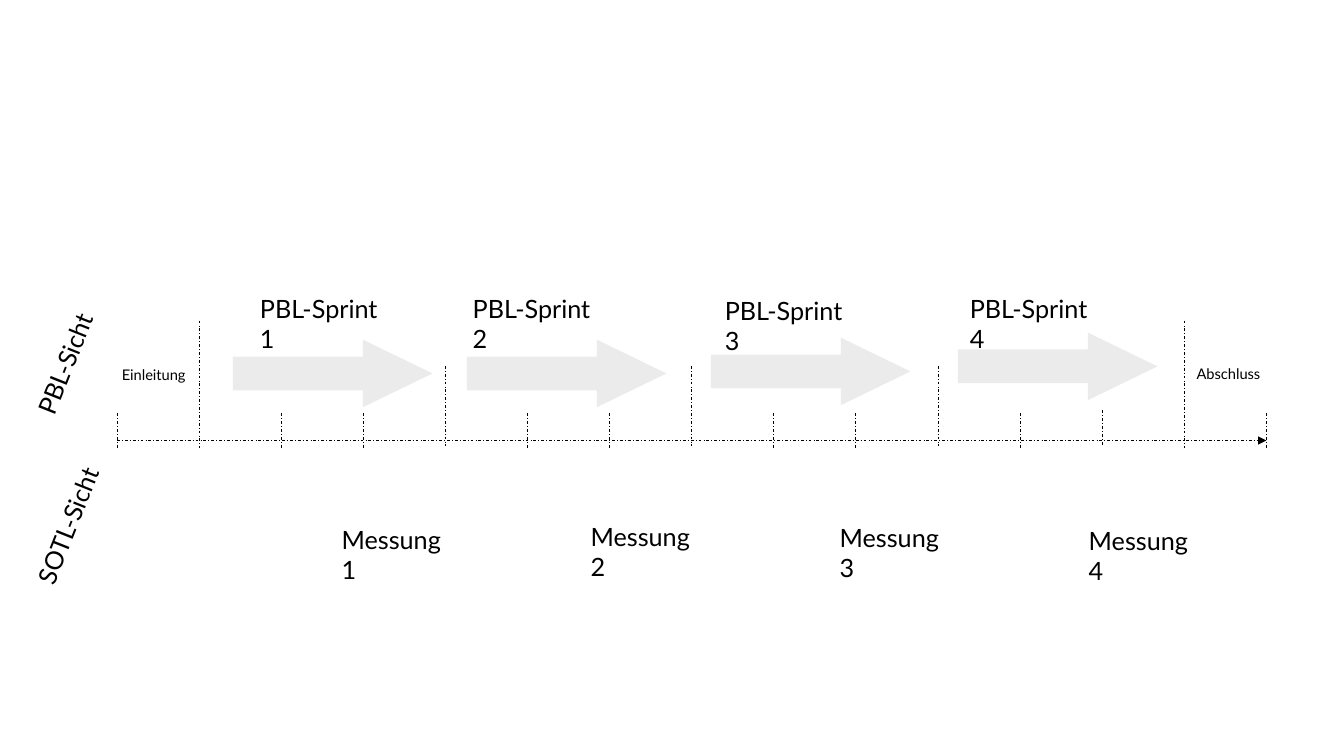
"""Draw a timeline of four PBL sprints and their measurements."""
from dataclasses import dataclass

from lxml import etree
from pptx import Presentation
from pptx import util as u
from pptx.dml import color
from pptx.enum import dml, shapes, text
from pptx.oxml import ns

HUES = {"ink": "000000", "arrow": "BFBFBF"}
FONT = "Lato"
AXIS = 4.37
START, END = 1.16, 12.56
TICKS = 15
STEP = (END - START) / (TICKS - 1)


@dataclass
class Sprint:
    """Places of one sprint's arrow, name and measurement."""
    arrow: tuple[float, float]
    name: tuple[float, float]
    gauge: tuple[float, float]


@dataclass
class Label:
    """A label on one line."""
    words: str
    box: tuple[float, float, float, float]
    size: float
    turn: float = 0


SPRINTS = [
    Sprint((2.31, 3.37), (2.48, 2.86), (3.29, 5.15)),
    Sprint((4.63, 3.37), (4.59, 2.86), (5.76, 5.12)),
    Sprint((7.05, 3.35), (7.09, 2.88), (8.23, 5.13)),
    Sprint((9.5, 3.3), (9.52, 2.86), (10.7, 5.16)),
]
LABELS = [
    Label("PBL-Sicht", (0.01, 3.4, 1.27, 0.4), 18, 291.6),
    Label("SOTL-Sicht", (-0.04, 5.01, 1.42, 0.4), 18, 291.6),
    Label("Einleitung", (1.11, 3.58, 0.86, 0.29), 10.5),
    Label("Abschluss", (11.77, 3.57, 0.9, 0.29), 10.5),
]
SPANS = {1: (3.18, 4.44), 13: (3.18, 4.44), 12: (4.07, 4.42),
         **dict.fromkeys((4, 7, 10), (3.63, 4.42))}


def tint(hue: str) -> color.RGBColor:
    """Return a named colour."""
    return color.RGBColor.from_string(HUES[hue])


def write(slide, words: str, box: tuple[float, ...], size: float = 18,
          turn: float = 0, wrap: bool = False, right: float = 0.1) -> None:
    """Add a text box."""
    shape = slide.shapes.add_textbox(*map(u.Inches, box))
    shape.rotation = turn
    frame = shape.text_frame
    frame.word_wrap = wrap
    frame.auto_size = text.MSO_AUTO_SIZE.NONE
    frame.margin_right = u.Inches(right)
    run = frame.paragraphs[0].add_run()
    run.text = words
    run.font.name = FONT
    run.font.size = u.Pt(size)
    run.font.color.rgb = tint("ink")


def rule(slide, ends: tuple[float, ...], head: bool = False) -> None:
    """Add a thin broken line, with an arrowhead on request."""
    line = slide.shapes.add_connector(shapes.MSO_CONNECTOR.STRAIGHT,
                                      *map(u.Inches, ends))
    line.line.color.rgb = tint("ink")
    line.line.width = u.Pt(0.5)
    line.line.dash_style = dml.MSO_LINE.DASH_DOT
    if head:
        etree.SubElement(line.line._get_or_add_ln(), ns.qn("a:tailEnd"),
                         type="triangle")
    etree.SubElement(line._element.spPr, ns.qn("a:effectLst"))


def arrow(slide, spot: tuple[float, float]) -> None:
    """Add a translucent sprint arrow."""
    shape = slide.shapes.add_shape(shapes.MSO_SHAPE.RIGHT_ARROW,
                                   *map(u.Inches, (*spot, 1.98, 0.67)))
    shape.adjustments[0] = 0.5
    shape.adjustments[1] = 1.03
    shape.shadow.inherit = False
    shape.line.fill.background()
    shape.fill.solid()
    shape.fill.fore_color.rgb = tint("arrow")
    tone = shape._element.spPr.find(".//" + ns.qn("a:srgbClr"))
    etree.SubElement(tone, ns.qn("a:alpha"), val="30000")


def main() -> None:
    """Build and save the slide."""
    deck = Presentation()
    deck.slide_width = u.Inches(13.33)
    deck.slide_height = u.Inches(7.5)
    slide = deck.slides.add_slide(deck.slide_layouts[6])
    rule(slide, (START, AXIS, END, AXIS), head=True)
    for tick in range(TICKS):
        left = START + tick * STEP
        top, base = SPANS.get(tick, (4.1, 4.44))
        rule(slide, (left, top, left, base))
    for sprint in SPRINTS:
        arrow(slide, sprint.arrow)
    for count, sprint in enumerate(SPRINTS, 1):
        write(slide, f"PBL-Sprint {count}", (*sprint.name, 1.56, 0.4),
              wrap=True, right=0.2)
        write(slide, f"Messung {count}", (*sprint.gauge, 1.37, 0.4),
              wrap=True, right=0.2)
    for label in LABELS:
        write(slide, label.words, label.box, size=label.size, turn=label.turn)
    deck.save("out.pptx")


if __name__ == "__main__":
    main()
